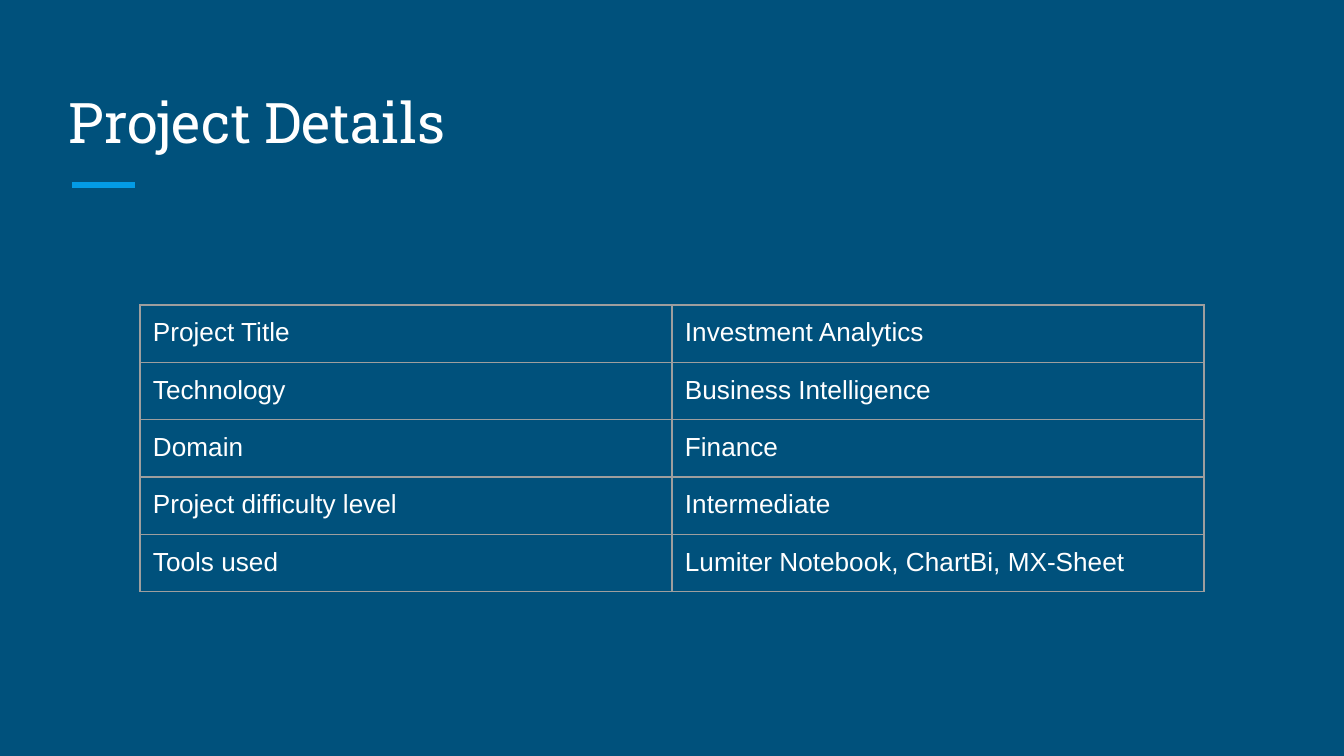
import dataclasses

import lxml.etree
import pptx
import pptx.dml.color
import pptx.enum.shapes
import pptx.enum.text
import pptx.oxml.ns
import pptx.util

SCALE = 914400 / 134.4  # EMU in one px
PAD = 13
ROWS = [
    ("Project Title", "Investment Analytics"),
    ("Technology", "Business Intelligence"),
    ("Domain", "Finance"),
    ("Project difficulty level", "Intermediate"),
    ("Tools used", "Lumiter Notebook, ChartBi, MX-Sheet"),
]


@dataclasses.dataclass
class Style:
    font: str
    size: int
    color: str


@dataclasses.dataclass
class Grid:
    left: int
    top: int
    col: int
    row: int
    border: str


TITLE = Style("Roboto Slab", 30, "FFFFFF")
BODY = Style("Arial", 14, "FFFFFF")
GRID = Grid(140, 305, 532, 56, "9E9E9E")


def px(n: int) -> int:
    return round(n * SCALE)


def rgb(code: str) -> pptx.dml.color.RGBColor:
    return pptx.dml.color.RGBColor.from_string(code)


def pad(box) -> None:
    """Set equal insets on a cell or a text frame."""
    box.margin_left = box.margin_right = px(PAD)
    box.margin_top = box.margin_bottom = px(PAD)


def write(frame, text: str, style: Style) -> None:
    frame.text = text
    font = frame.paragraphs[0].runs[0].font
    font.name = style.font
    font.size = pptx.util.Pt(style.size)
    font.color.rgb = rgb(style.color)


def add_title(slide, text: str) -> None:
    box = slide.shapes.add_textbox(px(56), px(67), px(1230), px(101))
    frame = box.text_frame
    frame.word_wrap = True
    frame.vertical_anchor = pptx.enum.text.MSO_ANCHOR.BOTTOM
    pad(frame)
    write(frame, text, TITLE)


def add_accent(slide) -> None:
    kind = pptx.enum.shapes.MSO_CONNECTOR.STRAIGHT
    line = slide.shapes.add_connector(kind, px(72), px(185), px(135), px(185))
    line.line.color.rgb = rgb("039BE5")
    line.line.width = pptx.util.Pt(3)
    lxml.etree.SubElement(line._element.spPr, pptx.oxml.ns.qn("a:effectLst"))


def add_borders(cell, color: str) -> None:
    props = cell._tc.get_or_add_tcPr()
    width = str(pptx.util.Pt(0.75))
    for spot, side in enumerate(("lnL", "lnR", "lnT", "lnB")):
        edge = lxml.etree.Element(pptx.oxml.ns.qn(f"a:{side}"), w=width)
        fill = lxml.etree.SubElement(edge, pptx.oxml.ns.qn("a:solidFill"))
        lxml.etree.SubElement(fill, pptx.oxml.ns.qn("a:srgbClr"), val=color)
        props.insert(spot, edge)


def add_grid(slide, rows: list[tuple[str, str]], grid: Grid) -> None:
    count, wide = len(rows), len(rows[0])
    table = slide.shapes.add_table(
        count, wide, px(grid.left), px(grid.top),
        px(grid.col * wide), px(grid.row * count),
    ).table
    table.first_row = table.horz_banding = False
    for col in table.columns:
        col.width = px(grid.col)
    for r, texts in enumerate(rows):
        table.rows[r].height = px(grid.row)
        for c, text in enumerate(texts):
            cell = table.cell(r, c)
            cell.fill.background()
            pad(cell)
            write(cell.text_frame, text, BODY)
            add_borders(cell, grid.border)


def main() -> None:
    deck = pptx.Presentation()
    deck.slide_width, deck.slide_height = px(1344), px(756)
    slide = deck.slides.add_slide(deck.slide_layouts[6])
    back = slide.background.fill
    back.solid()
    back.fore_color.rgb = rgb("00517C")
    add_accent(slide)
    add_title(slide, "Project Details")
    add_grid(slide, ROWS, GRID)
    deck.save("out.pptx")


if __name__ == "__main__":
    main()
